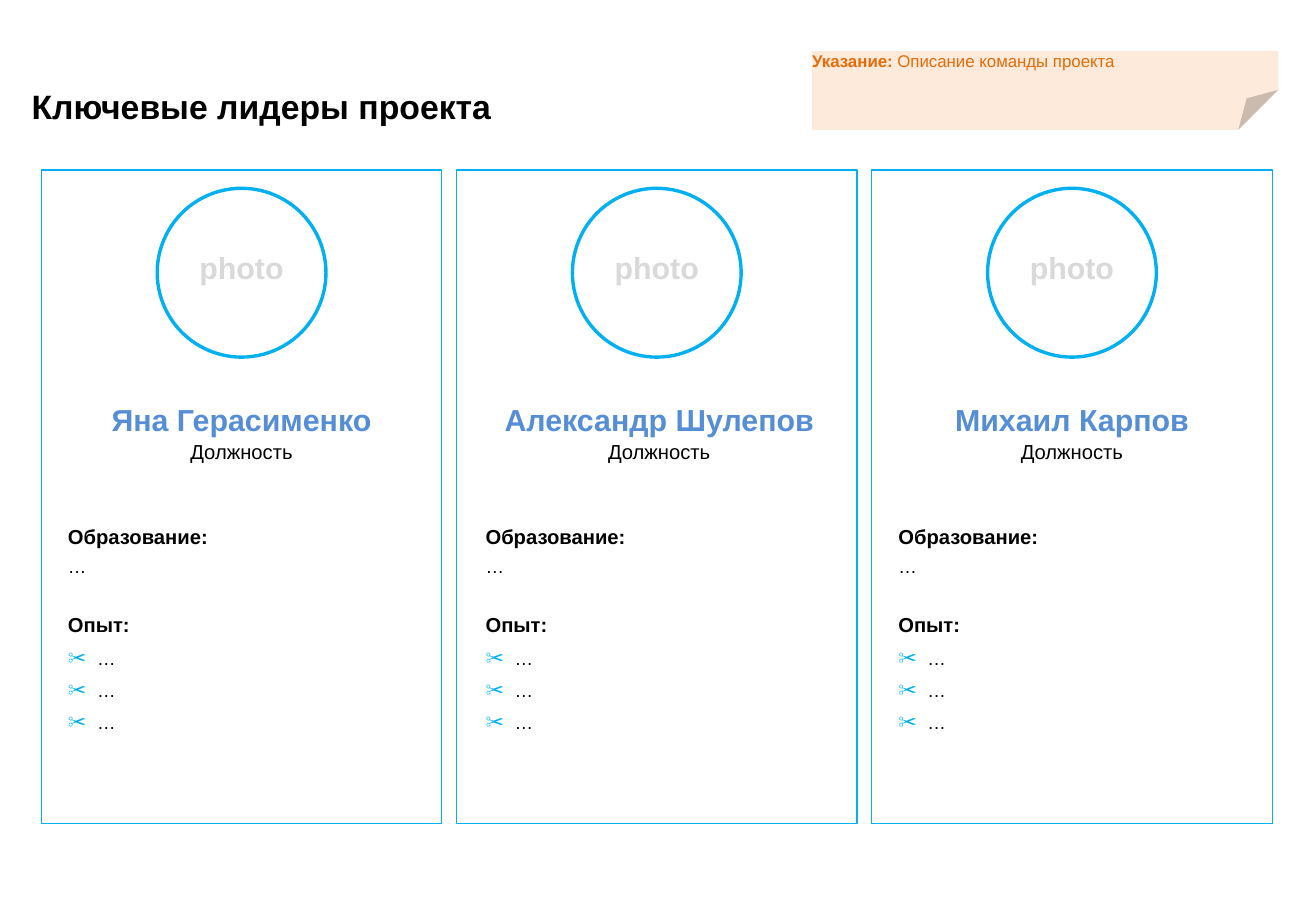
from lxml.etree import SubElement
from pptx import Presentation
from pptx.dml.color import RGBColor
from pptx.enum.shapes import MSO_SHAPE as Preset
from pptx.enum.text import MSO_ANCHOR as Anchor, PP_ALIGN as Align
from pptx.oxml.ns import qn
from pptx.util import Inches, Pt

# Content
TITLE = "Ключевые лидеры проекта"
NOTE = ("Указание: ", "Описание команды проекта")
PHOTO = "photo"
POSITION = "Должность"
EDUCATION = ("Образование:", "…")
EXPERIENCE = ("Опыт:", ["…", "…", "…"])
LEADERS = [  # name, left edge of the text column
    ("Яна Герасименко", 0.5),
    ("Александр Шулепов", 3.94),
    ("Михаил Карпов", 7.34),
]

# Style
FONT = "Arial"
BLACK = RGBColor(0, 0, 0)
WHITE = RGBColor(255, 255, 255)
CYAN = RGBColor(0x00, 0xB0, 0xF0)
NAME_BLUE = RGBColor(0x55, 0x8E, 0xD5)
PHOTO_GREY = RGBColor(0xD9, 0xD9, 0xD9)
NOTE_FILL = RGBColor(0xFD, 0xEA, 0xDA)
NOTE_TEXT = RGBColor(0xE4, 0x6C, 0x0A)

# Layout in inches
CARD_LEFT, CARD_TOP, CARD_PITCH = 0.34, 1.4, 3.42
CARD_WIDTH, CARD_HEIGHT = 3.3, 5.38
PHOTO_TOP, PHOTO_SIZE = 1.55, 1.39
TEXT_WIDTH, DETAIL_INSET = 2.98, 0.06
NOTE_LEFT, NOTE_TOP, NOTE_RIGHT, NOTE_BOTTOM = 6.69, 0.42, 10.53, 1.07
FOLD = 0.33


def clear_margins(frame):
    frame.margin_left = frame.margin_top = 0
    frame.margin_right = frame.margin_bottom = 0
    frame.word_wrap = True


def add_span(para, text, size, color=BLACK, bold=False):
    span = para.add_run()
    span.text = text
    span.font.name = FONT
    span.font.size = Pt(size)
    span.font.bold = bold
    span.font.color.rgb = color


def add_box(page, left, top, width, height):
    box = page.shapes.add_textbox(
        Inches(left), Inches(top), Inches(width), Inches(height))
    clear_margins(box.text_frame)
    return box.text_frame


def add_centered(page, text, left, top, width, height, size, color, bold):
    para = add_box(page, left, top, width, height).paragraphs[0]
    para.alignment = Align.CENTER
    add_span(para, text, size, color, bold)
    return para


def add_outlined(page, preset, left, top, width, height, line_width):
    shape = page.shapes.add_shape(
        preset, Inches(left), Inches(top), Inches(width), Inches(height))
    shape.shadow.inherit = False
    shape.line.color.rgb = CYAN
    shape.line.width = Pt(line_width)
    return shape


def add_polygon(page, points, color):
    start, *others = [(Inches(x), Inches(y)) for x, y in points]
    builder = page.shapes.build_freeform(*start)
    builder.add_line_segments(others, close=True)
    shape = builder.convert_to_shape()
    shape.shadow.inherit = False
    shape.fill.solid()
    shape.fill.fore_color.rgb = color
    shape.line.fill.background()
    return shape


def set_bullet(para, symbol, color, indent):
    props = para._p.get_or_add_pPr()
    props.set("marL", str(Inches(indent)))
    props.set("indent", str(-Inches(indent)))
    bullet_color = SubElement(props, qn("a:buClr"))
    SubElement(bullet_color, qn("a:srgbClr")).set("val", str(color))
    SubElement(props, qn("a:buFont")).set("typeface", FONT)
    SubElement(props, qn("a:buChar")).set("char", symbol)


def add_title(page):
    title = page.shapes.title
    title.left, title.top = Inches(0.26), Inches(0.59)
    title.width, title.height = Inches(10.33), Inches(0.57)
    clear_margins(title.text_frame)
    title.text_frame.vertical_anchor = Anchor.MIDDLE
    para = title.text_frame.paragraphs[0]
    para.alignment = Align.LEFT
    para.space_before = Pt(4)
    add_span(para, TITLE, 20, bold=True)


def add_note(page):
    fold_x, fold_y = NOTE_RIGHT - FOLD, NOTE_BOTTOM - FOLD
    corner, edge = (fold_x, NOTE_BOTTOM), (NOTE_RIGHT, fold_y)
    add_polygon(page, [(NOTE_LEFT, NOTE_TOP), (NOTE_RIGHT, NOTE_TOP), edge,
                       corner, (NOTE_LEFT, NOTE_BOTTOM)], NOTE_FILL)
    # Translucent folded corner
    fold = add_polygon(
        page, [corner, (fold_x + 0.07, fold_y + 0.07), edge], BLACK)
    fold_color = fold._element.spPr.find(qn("a:solidFill"))[0]
    SubElement(fold_color, qn("a:alpha")).set("val", "20000")

    frame = add_box(page, NOTE_LEFT, NOTE_TOP, NOTE_RIGHT - NOTE_LEFT, 0.17)
    label, text = NOTE
    add_span(frame.paragraphs[0], label, 10, NOTE_TEXT, True)
    add_span(frame.paragraphs[0], text, 10, NOTE_TEXT)


def add_details(page, left):
    width = TEXT_WIDTH - 2 * DETAIL_INSET
    # Education
    heading, text = EDUCATION
    frame = add_box(page, left, 4.32, width, 0.43)
    add_span(frame.paragraphs[0], heading, 12, bold=True)
    para = frame.add_paragraph()
    para.space_before = Pt(6)
    para.line_spacing = 0.8
    add_span(para, text, 11)
    # Experience
    heading, items = EXPERIENCE
    frame = add_box(page, left, 5.04, width, 1)
    frame.paragraphs[0].space_before = Pt(6)
    add_span(frame.paragraphs[0], heading, 12, bold=True)
    for item in items:
        para = frame.add_paragraph()
        para.space_before = Pt(6)
        set_bullet(para, "✂", CYAN, 0.24)
        add_span(para, item, 11)


def add_leader(page, card_left, name, text_left):
    card = add_outlined(page, Preset.RECTANGLE, card_left, CARD_TOP,
                        CARD_WIDTH, CARD_HEIGHT, 0.75)
    card.fill.background()
    # Photo circle
    photo_left = card_left + (CARD_WIDTH - PHOTO_SIZE) / 2
    circle = add_outlined(page, Preset.OVAL, photo_left, PHOTO_TOP,
                          PHOTO_SIZE, PHOTO_SIZE, 2)
    circle.fill.solid()
    circle.fill.fore_color.rgb = WHITE
    add_centered(page, PHOTO, photo_left, 2.05, PHOTO_SIZE, 0.3,
                 18, PHOTO_GREY, True)
    # Name and position
    add_centered(page, name, text_left, 3.3, TEXT_WIDTH, 0.3,
                 18, NAME_BLUE, True)
    position = add_centered(page, POSITION, text_left, 3.62, TEXT_WIDTH, 0.2,
                            12, BLACK, False)
    position.space_before = Pt(3)
    add_details(page, text_left + DETAIL_INSET)


def main():
    deck = Presentation()
    deck.slide_width, deck.slide_height = Inches(10.84), Inches(7.5)
    page = deck.slides.add_slide(deck.slide_layouts[5])
    add_title(page)
    add_note(page)
    for index, (name, text_left) in enumerate(LEADERS):
        add_leader(page, CARD_LEFT + index * CARD_PITCH, name, text_left)
    deck.save("out.pptx")


if __name__ == "__main__":
    main()
